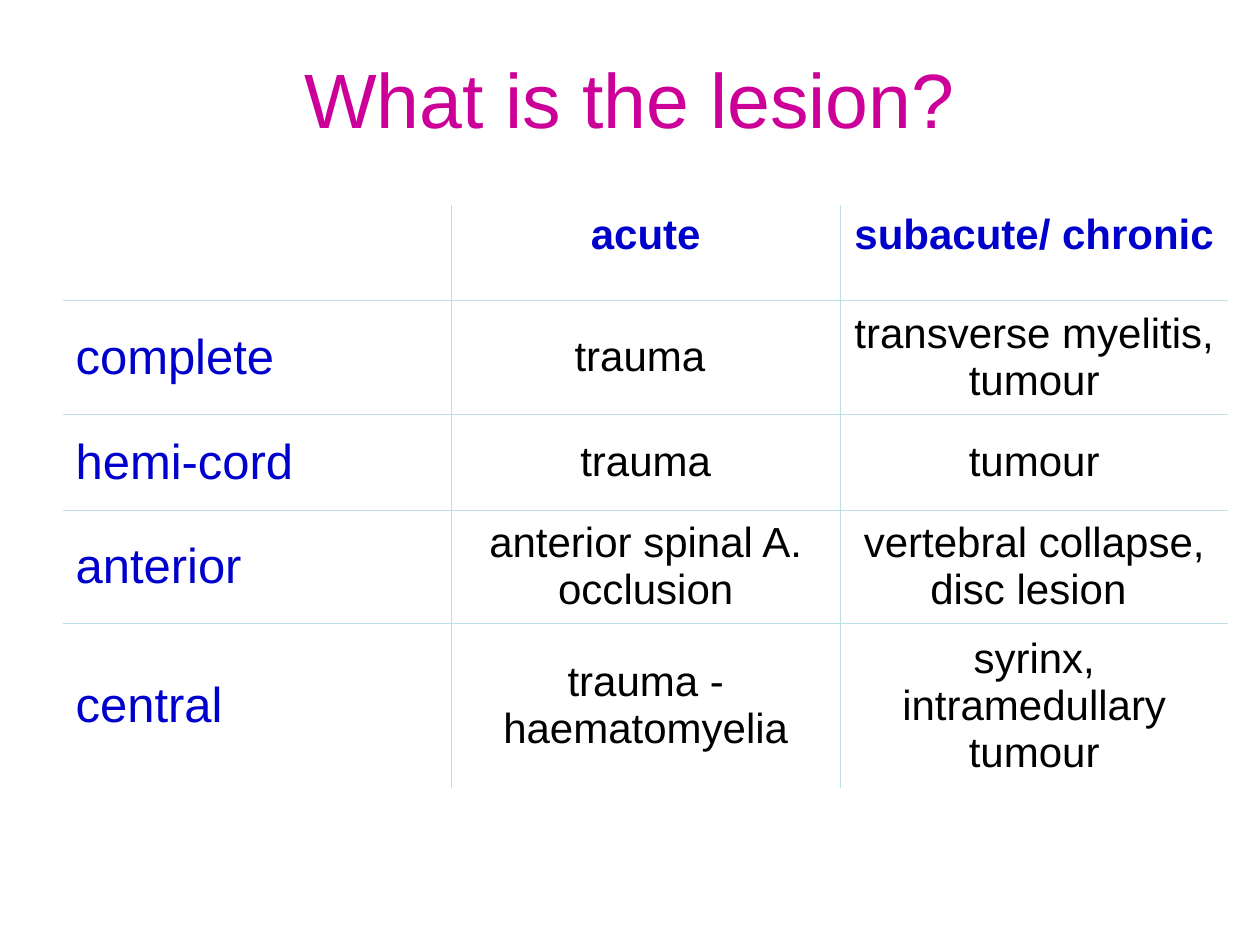
from lxml import etree
from pptx import Presentation
from pptx.dml.color import RGBColor
from pptx.enum import text
from pptx.oxml import ns
from pptx.util import Pt

MAGENTA = RGBColor(0xCC, 0x00, 0x99)
BLUE = RGBColor(0x00, 0x00, 0xCC)
BLACK = RGBColor(0x00, 0x00, 0x00)
RULE = RGBColor(0xBB, 0xE0, 0xE3)

TITLE = "What is the lesion?"
ROWS = [
    ("", "acute", "subacute/ chronic"),
    ("complete", "trauma ", "transverse myelitis, tumour"),
    ("hemi-cord", "trauma", "tumour"),
    ("anterior", "anterior spinal A. occlusion", "vertebral collapse, disc lesion "),
    ("central", "trauma - haematomyelia", "syrinx, intramedullary tumour"),
]
ROW_HEIGHTS = [54.7, 65, 54.7, 65, 93.8]
COL_WIDTH = 222
LEFT = 36
HEADER = dict(size=24, color=BLUE, bold=True)
LABEL = dict(size=28, color=BLUE, align=text.PP_ALIGN.LEFT)
BODY = dict(size=24, color=BLACK)


def write(tf, words, size, color, bold=False, align=text.PP_ALIGN.CENTER):
    tf.word_wrap = True
    p = tf.paragraphs[0]
    p.alignment = align
    r = p.add_run()
    r.text = words
    r.font.name = "Arial"
    r.font.size = Pt(size)
    r.font.bold = bold
    r.font.color.rgb = color


def rule_cell(cell, sides):
    """Draw the given sides (of L, R, T, B) and leave the others open."""
    tc_pr = cell._tc.get_or_add_tcPr()
    for side in "LRTB":
        ln = etree.SubElement(tc_pr, ns.qn("a:ln" + side), w=str(Pt(0.45)))
        if side in sides:
            fill = etree.SubElement(ln, ns.qn("a:solidFill"))
            etree.SubElement(fill, ns.qn("a:srgbClr"), val=str(RULE))
        else:
            etree.SubElement(ln, ns.qn("a:noFill"))
    cell.fill.background()


prs = Presentation()
prs.slide_width, prs.slide_height = Pt(720), Pt(540)
s = prs.slides.add_slide(prs.slide_layouts[6])

title = s.shapes.add_textbox(Pt(LEFT), Pt(21.6), Pt(648), Pt(68.4))
title.text_frame.vertical_anchor = text.MSO_ANCHOR.MIDDLE
write(title.text_frame, TITLE, size=44, color=MAGENTA)

n_rows, n_cols = len(ROWS), len(ROWS[0])
table = s.shapes.add_table(n_rows, n_cols, Pt(LEFT), Pt(117), Pt(COL_WIDTH * n_cols),
                           Pt(sum(ROW_HEIGHTS))).table
table.first_row = table.horz_banding = False
for column in table.columns:
    column.width = Pt(COL_WIDTH)

for i, (row, height) in enumerate(zip(ROWS, ROW_HEIGHTS)):
    table.rows[i].height = Pt(height)
    for j, words in enumerate(row):
        cell = table.cell(i, j)
        inner = {"L": j > 0, "R": j < n_cols - 1, "T": i > 0, "B": i < n_rows - 1}
        rule_cell(cell, [side for side, drawn in inner.items() if drawn])
        if i > 0:
            cell.vertical_anchor = text.MSO_ANCHOR.MIDDLE
        if words:
            style = HEADER if i == 0 else LABEL if j == 0 else BODY
            write(cell.text_frame, words, **style)

prs.save("out.pptx")
